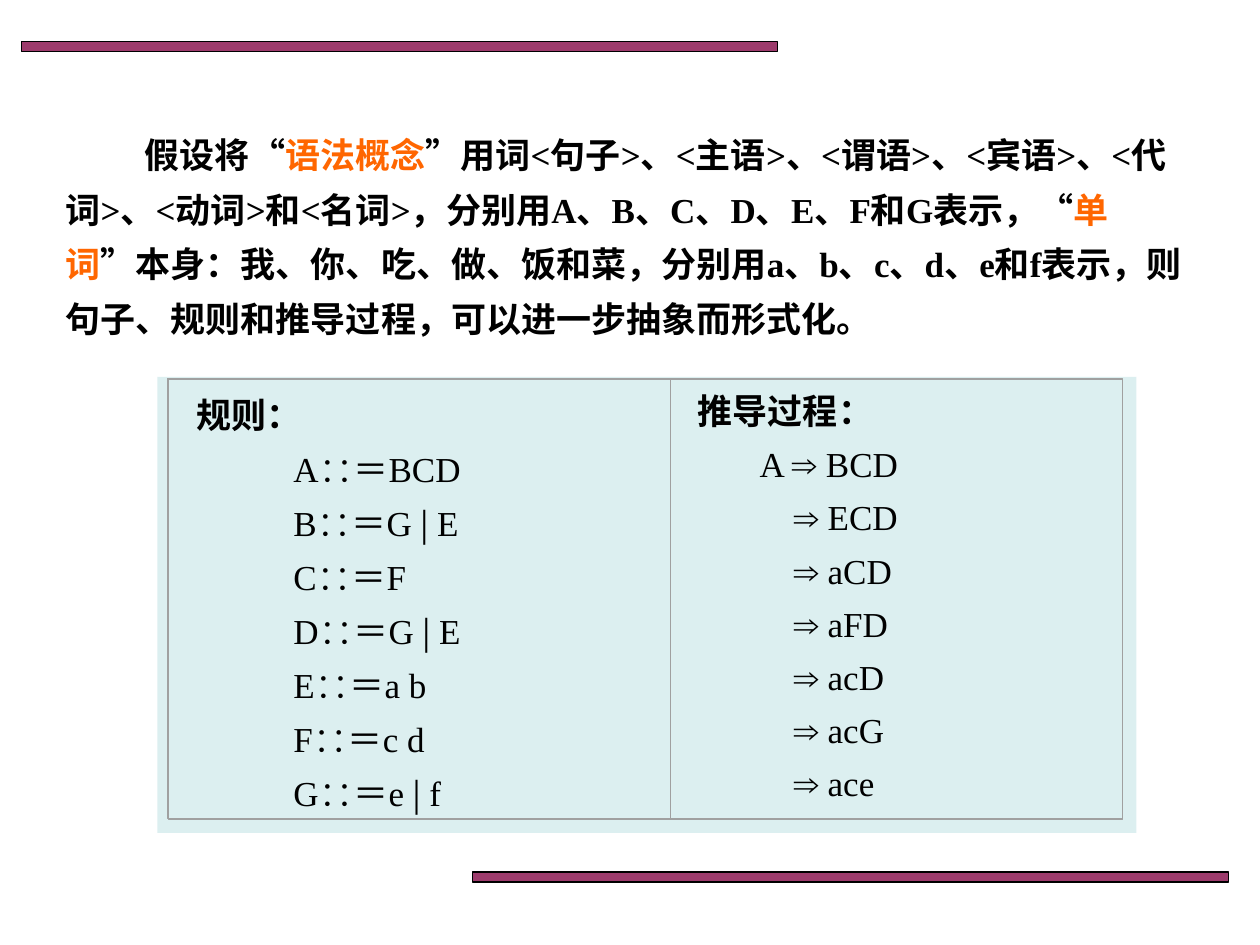
from lxml import etree
from pptx import Presentation
from pptx.dml.color import RGBColor
from pptx.enum import shapes, text
from pptx.oxml.ns import qn
from pptx.util import Inches, Pt

COLORS = {"bar": "993366", "panel": "BBE0E3", "frame": "A0A0A0", "ink": "000000", "accent": "FF6600"}


def add_rect(box, fill=None, opacity=100, line=None, width=0.5):
    rect = slide.shapes.add_shape(shapes.MSO_SHAPE.RECTANGLE, *[Inches(v) for v in box])
    rect.shadow.inherit = False
    if fill:
        rect.fill.solid()
        rect.fill.fore_color.rgb = RGBColor.from_string(COLORS[fill])
        color = rect.fill._xPr.find(qn("a:solidFill"))[0]
        etree.SubElement(color, qn("a:alpha"), val=str(opacity * 1000))
    else:
        rect.fill.background()
    if line:
        rect.line.color.rgb = RGBColor.from_string(COLORS[line])
        rect.line.width = Pt(width)
    else:
        rect.line.fill.background()


def format_run(run, color="ink", bold=True):
    run.font.name = "Times New Roman"
    run.font.size = Pt(20)
    run.font.bold = bold
    run.font.color.rgb = RGBColor.from_string(COLORS[color])


prs = Presentation()
prs.slide_width, prs.slide_height = Inches(10), Inches(7.5)
slide = prs.slides.add_slide(prs.slide_layouts[1])
title = slide.shapes.title
title._element.getparent().remove(title._element)

for left, top in [(0.17, 0.33), (3.75, 6.92)]:
    add_rect((left, top, 6, 0.08), "bar", 96, "ink", 0.75)
add_rect((1.25, 2.99, 7.77, 3.62), "panel", 50)

intro = slide.placeholders[1]
intro.left, intro.top, intro.width, intro.height = [Inches(v) for v in (0.42, 0.91, 9.08, 1.84)]
intro.text_frame.auto_size = text.MSO_AUTO_SIZE.NONE
statement = intro.text_frame.paragraphs[0]
statement.line_spacing = 1.3
statement.space_before = Pt(0)
props = statement._p.get_or_add_pPr()
props.set("marL", "0")
props.set("indent", str(Inches(0.63)))
etree.SubElement(props, qn("a:buNone"))
for words, color in [
    ("假设将“", "ink"),
    ("语法概念", "accent"),
    ("”用词<句子>、<主语>、<谓语>、<宾语>、<代词>、<动词>和<名词>，分别用A、B、C、D、E、F和G表示，“", "ink"),
    ("单词", "accent"),
    ("”本身：我、你、吃、做、饭和菜，分别用a、b、c、d、e和f表示，则句子、规则和推导过程，可以进一步抽象而形式化。", "ink"),
]:
    run = statement.add_run()
    run.text = words
    format_run(run, color)

rules = ["A∷＝BCD", "B∷＝G∣E", "C∷＝F", "D∷＝G∣E", "E∷＝a b", "F∷＝c d", "G∷＝e∣f"]
steps = ["A ⇒ BCD", "⇒ ECD", "⇒ aCD", "⇒ aFD", "⇒ acD", "⇒ acG", "⇒ ace"]
columns = [
    (1.34, 3.98, "规则：", rules, 1.2, 2, [0.77] * 7),
    (5.32, 3.59, "推导过程：", steps, 1.1, 4, [0.49] + [0.76] * 6),
]
for left, width, heading, lines, spacing, gap, indents in columns:
    column = slide.shapes.add_textbox(Inches(left + 0.12), Inches(3.01), Inches(width - 0.25), Inches(3.49))
    frame = column.text_frame
    frame.word_wrap = True
    frame.text = "\n".join([heading] + lines)
    for i, (paragraph, indent) in enumerate(zip(frame.paragraphs, [0] + indents)):
        paragraph.alignment = text.PP_ALIGN.JUSTIFY
        paragraph.line_spacing = spacing
        paragraph.space_before = Pt(gap if i else 0)
        paragraph._p.get_or_add_pPr().set("marL", str(Inches(indent)))
        format_run(paragraph.runs[0], bold=i == 0)
    add_rect((left, 3.01, width, 3.49), line="frame")
add_rect((1.33, 3, 7.58, 3.5), line="frame")

prs.save("out.pptx")
